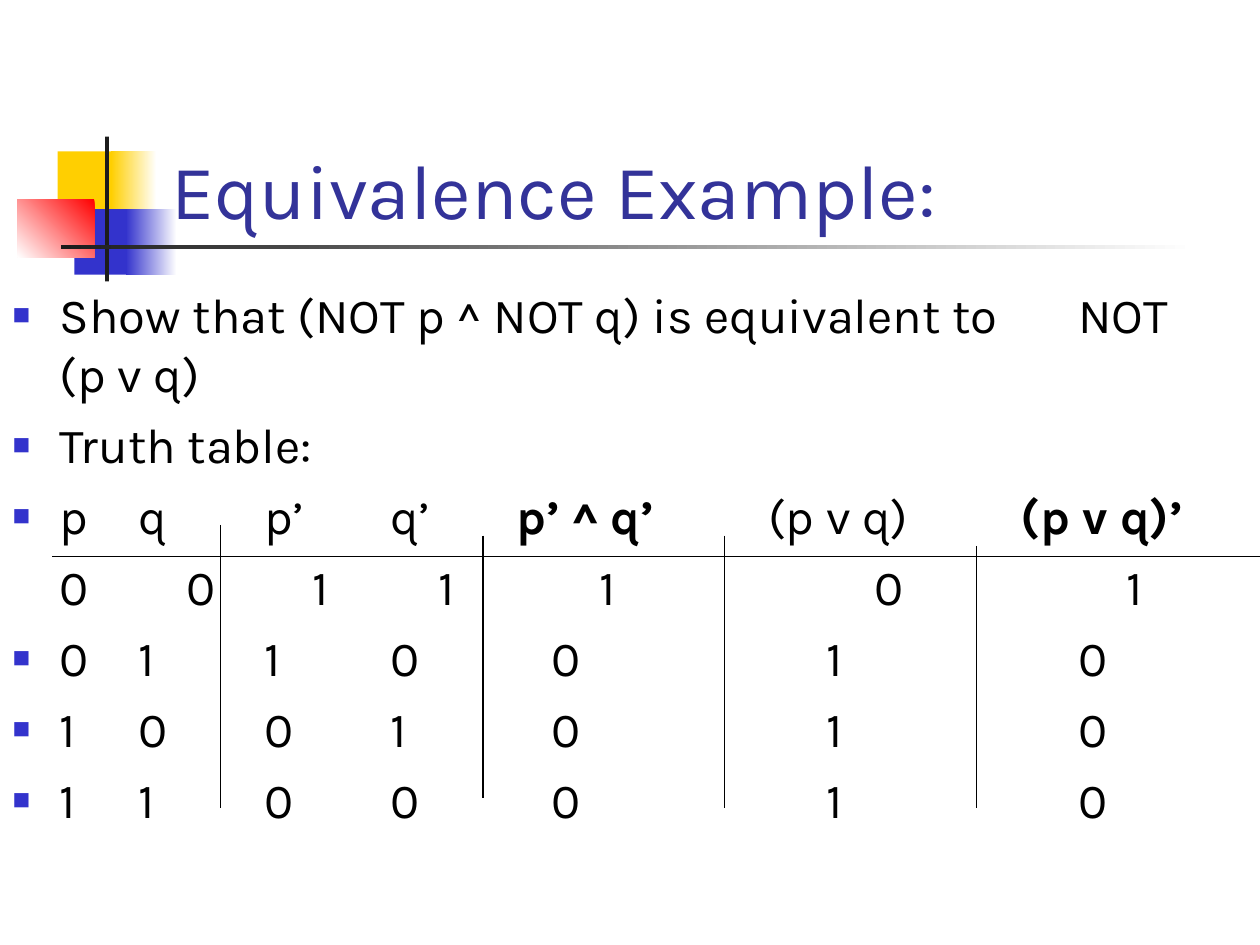
from lxml import etree
from pptx import Presentation
from pptx import util as u
from pptx.dml.color import RGBColor
from pptx.enum import shapes, text
from pptx.oxml import ns

INK = {"gold": "FFCF01", "blue": "3333CC", "red": "FF0000", "dark": "1C1C1C",
       "white": "FFFFFF", "title": "333399", "black": "000000"}
FONT = "Karla"
INCH = 72


def rgb(name):
    return RGBColor.from_string(INK[name])


def sub(node, tag, **attrs):
    return etree.SubElement(node, ns.qn(tag), attrs)


class Deck:
    """Holds the style and the current slide; lengths are in points."""

    def __init__(self):
        self.prs = Presentation()
        self.prs.slide_width, self.prs.slide_height = u.Pt(720), u.Pt(540)
        self.slide = self.prs.slides.add_slide(self.prs.slide_layouts[1])

    def block(self, box, ink, end=None, angle=0):
        x, y, w, h = map(u.Pt, box)
        item = self.slide.shapes.add_shape(shapes.MSO_SHAPE.RECTANGLE, x, y, w, h)
        item.shadow.inherit = False
        item.line.fill.background()
        if end:
            item.fill.gradient()
            item.fill.gradient_angle = angle
            for stop, name in zip(item.fill.gradient_stops, (ink, end)):
                stop.color.rgb = rgb(name)
        else:
            item.fill.solid()
            item.fill.fore_color.rgb = rgb(ink)

    def rule(self, *ends):
        item = self.slide.shapes.add_connector(
            shapes.MSO_CONNECTOR.STRAIGHT, *map(u.Pt, ends))
        item.line.color.rgb = rgb("black")
        item.line.width = u.Pt(0.75)
        sub(item._element.spPr, "a:effectLst")

    def place(self, item, box):
        """Move a placeholder into its box, in front of what is drawn so far."""
        item.left, item.top, item.width, item.height = map(u.Pt, box)
        item._element.getparent().append(item._element)
        frame = item.text_frame
        frame.word_wrap = True
        frame.auto_size = text.MSO_AUTO_SIZE.NONE
        return frame

    def style(self, para, size, ink):
        para.alignment = text.PP_ALIGN.LEFT
        for run in para.runs:
            run.font.name, run.font.size = FONT, u.Pt(size)
            run.font.color.rgb = rgb(ink)

    def title(self, words, box):
        frame = self.place(self.slide.shapes.title, box)
        frame.vertical_anchor = text.MSO_ANCHOR.BOTTOM
        frame.text = words
        self.style(frame.paragraphs[0], 44, "title")

    def body(self, rows, box):
        frame = self.place(self.slide.placeholders[1], box)
        frame.margin_right = u.Pt(20)
        for i, (parts, tabs, mark) in enumerate(rows):
            para = frame.paragraphs[0] if i == 0 else frame.add_paragraph()
            self.bullet(para, tabs, mark)
            para.space_before = u.Pt(7 if i else 0)
            for j, part in enumerate(parts):
                run = para.add_run()
                run.text = part
                run.font.bold = j % 2 == 1
            self.style(para, 28, "black")

    def bullet(self, para, tabs, mark):
        props = para._p.get_or_add_pPr()
        props.set("marL", str(u.Pt(27)))
        props.set("indent", str(u.Pt(-27)))
        sub(sub(props, "a:buClr"), "a:srgbClr", val=INK["blue"])
        sub(props, "a:buSzPct", val="60000")
        sub(props, "a:buChar", char=mark)
        stops = sub(props, "a:tabLst")
        for tab in tabs:
            sub(stops, "a:tab", pos=str(u.Pt(tab * INCH)), algn="l")


deck = Deck()

# Corner ornament
deck.block((33, 86.5, 34.5, 37.5), "gold")
deck.block((63.5, 86.5, 26, 37.5), "white", "gold", 180)
deck.block((42.5, 119.5, 33, 37.5), "blue")
deck.block((72, 119.5, 29, 37.5), "white", "blue", 180)
deck.block((10, 113.75, 44, 33.25), "red", "white", 225)
deck.block((60, 78, 2.25, 82.75), "dark")
deck.block((34.75, 140, 648, 2.25), "white", "dark", 180)

# Title
deck.title("Equivalence Example:", (90.75, 48, 613.5, 90))

# Statement and truth table: odd parts of a row are bold
heads = range(1, 9)
cells = [1, 2, 3, 4.28, 5, 6.46, 7, 8.46]
wide = [tab + 0.38 for tab in cells]
line = "{}\t{}\t{}\t{}\t{}\t\t{}\t\t{}"
rows = [
    (["Show that (NOT p ^ NOT q) is equivalent to\tNOT (p v q)"], [8.46], "■"),
    (["Truth table:"], heads, "■"),
    (["p\tq\tp’\tq’\t", "p’ ^ q’\t", "(p v q)\t", "(p v q)’"], heads, "■"),
]
for p in (0, 1):
    for q in (0, 1):
        either = p | q
        vals = line.format(p, q, 1 - p, 1 - q, 1 - either, either, 1 - either)
        # The first row has a blank mark and sits further right
        rows.append(([vals], cells, "■") if either else ([vals], wide, " "))
deck.body(rows, (0, 159, 705, 324))

# Table rules
deck.rule(30, 318, 720, 318)
for x, top, end in ((126, 300, 462), (276, 306, 456), (414, 306, 462), (558, 312, 462)):
    deck.rule(x, top, x, end)

deck.prs.save("out.pptx")
